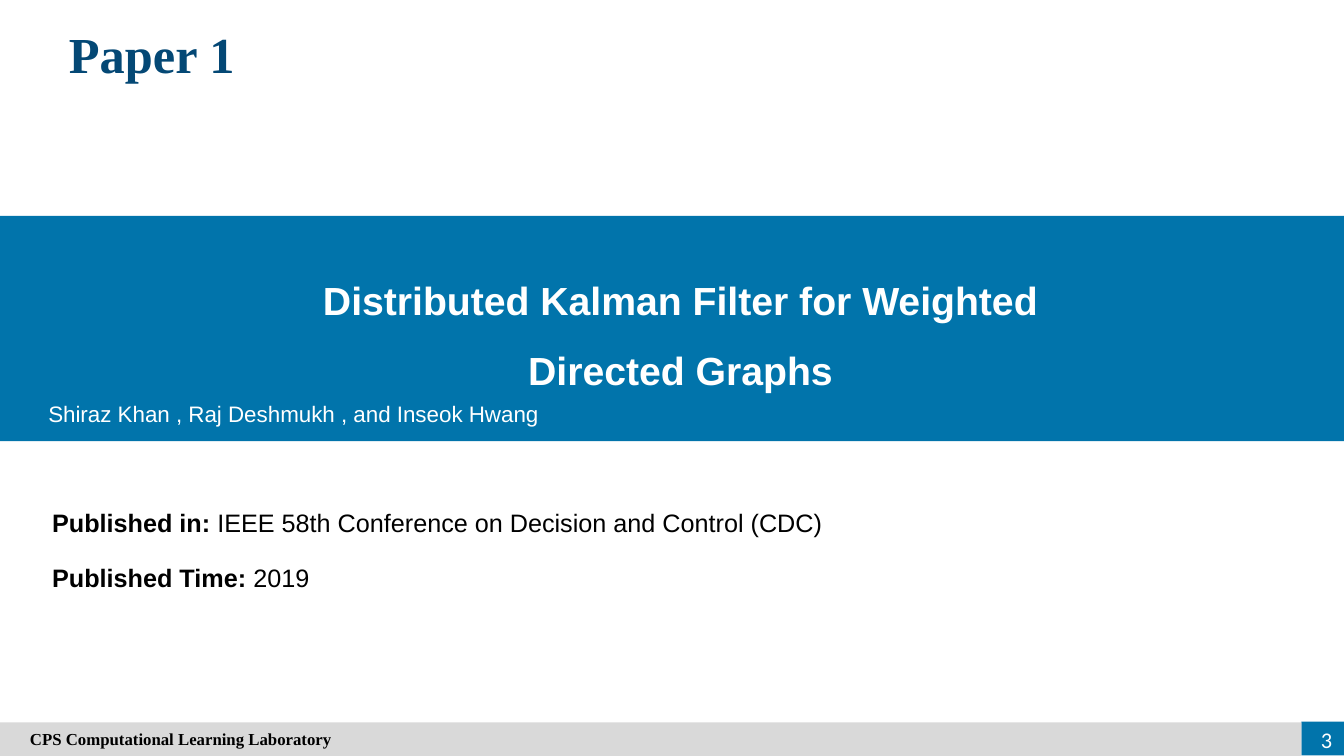
from pptx import Presentation
from pptx.dml.color import RGBColor
from pptx.enum.shapes import MSO_SHAPE
from pptx.enum.text import MSO_ANCHOR, PP_ALIGN
from pptx.util import Pt

RECT = MSO_SHAPE.RECTANGLE
TOP, MIDDLE = MSO_ANCHOR.TOP, MSO_ANCHOR.MIDDLE
LEFT, CENTER, RIGHT = PP_ALIGN.LEFT, PP_ALIGN.CENTER, PP_ALIGN.RIGHT
COLORS = {"blue": "0174AB", "navy": "044875", "gray": "D9D9D9",
          "white": "FFFFFF", "black": "000000"}


def add_rect(x, y, w, h, color):
    sp = s.shapes.add_shape(RECT, Pt(x), Pt(y), Pt(w), Pt(h))
    sp.shadow.inherit = False
    sp.fill.solid()
    sp.fill.fore_color.rgb = RGBColor.from_string(COLORS[color])
    sp.line.fill.background()
    return sp


def write(sp, *lines, size, color, font="Arial", bold=False, label="",
          align=LEFT, anchor=TOP, spacing=1.0, inset=7.2):
    tf = sp.text_frame
    tf.word_wrap = True
    tf.vertical_anchor = anchor
    tf.margin_left = Pt(inset)
    for i, line in enumerate(lines):
        p = tf.add_paragraph() if i else tf.paragraphs[0]
        p.alignment = align
        p.line_spacing = spacing
        for text, is_bold in ((label, True), (line, bold)):
            if text:
                r = p.add_run()
                r.text = text
                r.font.name = font
                r.font.size = Pt(size)
                r.font.bold = is_bold
                r.font.color.rgb = RGBColor.from_string(COLORS[color])


prs = Presentation()
prs.slide_width, prs.slide_height = Pt(960), Pt(540)
s = prs.slides.add_slide(prs.slide_layouts[6])

add_rect(0, 154.2, 960, 161, "blue")
title = s.shapes.add_textbox(Pt(12), Pt(179.3), Pt(948), Pt(103))
write(title, "Distributed Kalman Filter for Weighted", "Directed Graphs",
      size=28, color="white", bold=True, align=CENTER, anchor=MIDDLE, spacing=1.5)
authors = s.shapes.add_textbox(Pt(27.4), Pt(282.2), Pt(654), Pt(28))
write(authors, "Shiraz Khan , Raj Deshmukh , and Inseok Hwang", size=16, color="white")

details = [("Published in:", " IEEE 58th Conference on Decision and Control (CDC)"),
           ("Published Time:", " 2019")]
for i, (label, value) in enumerate(details):
    detail = s.shapes.add_textbox(Pt(30.2), Pt(358.6 + 39.8 * i), Pt(869), Pt(29))
    write(detail, value, label=label, size=18, color="black")

heading = s.shapes.add_textbox(Pt(27.4), Pt(13), Pt(162), Pt(51))
write(heading, "Paper 1", size=36, color="navy", font="Times New Roman",
      bold=True, align=CENTER)

add_rect(929.5, 515.5, 30.5, 24, "blue")
footer = add_rect(0, 516, 929.5, 24, "gray")
write(footer, "CPS Computational Learning Laboratory", size=12, color="black",
      font="Times New Roman", bold=True, anchor=MIDDLE, inset=21.4)
number = s.shapes.add_textbox(Pt(913.7), Pt(513.4), Pt(45), Pt(29))
write(number, "3", size=16, color="white", font="Calibri", align=RIGHT, anchor=MIDDLE)

prs.save("out.pptx")
